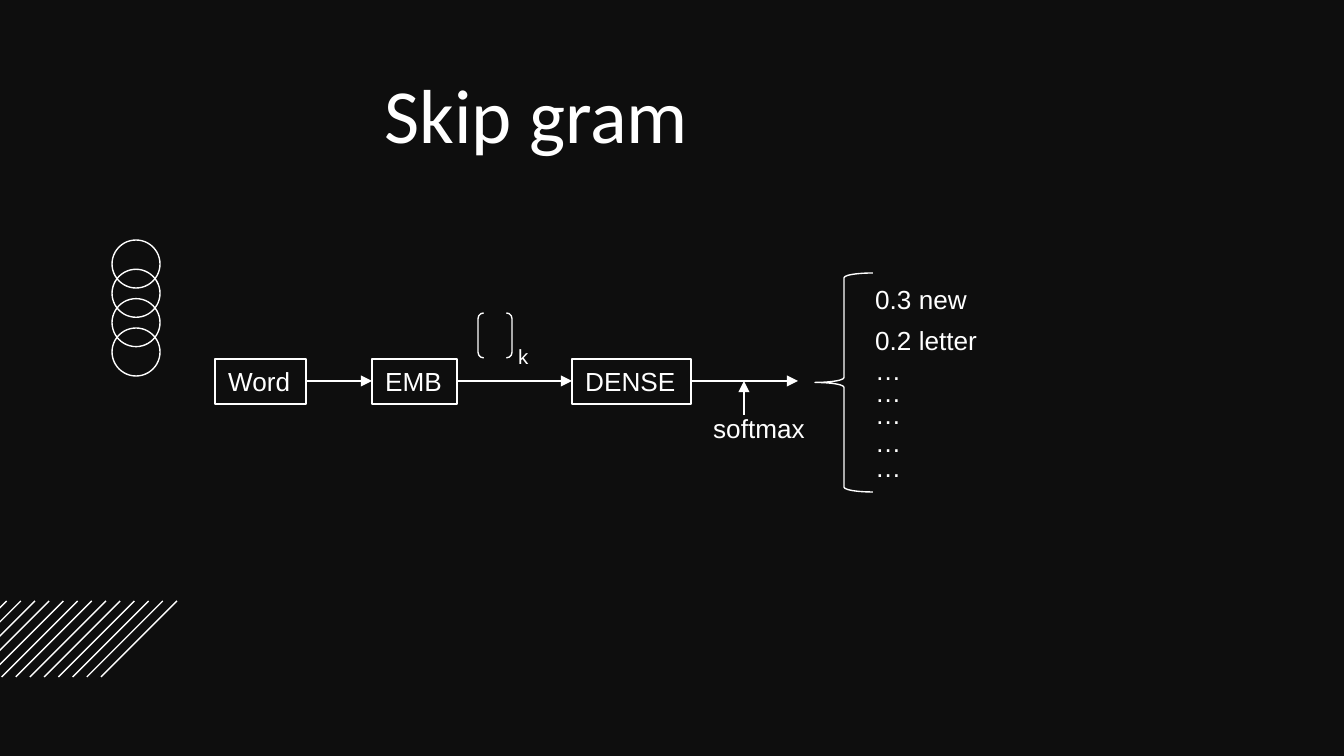
from lxml import etree
from pptx import Presentation
from pptx.dml.color import RGBColor
from pptx.enum.shapes import MSO_CONNECTOR, MSO_SHAPE
from pptx.enum.text import MSO_ANCHOR, MSO_AUTO_SIZE, PP_ALIGN
from pptx.oxml.ns import qn
from pptx.util import Emu, Pt

BACKGROUND = RGBColor(0x0E, 0x0E, 0x0E)
WHITE = RGBColor(0xFF, 0xFF, 0xFF)
RECT, OVAL = MSO_SHAPE.RECTANGLE, MSO_SHAPE.OVAL
BRACE, BRACKETS = MSO_SHAPE.LEFT_BRACE, MSO_SHAPE.DOUBLE_BRACKET
STRAIGHT = MSO_CONNECTOR.STRAIGHT
LEFT, CENTER = PP_ALIGN.LEFT, PP_ALIGN.CENTER
TOP, GROW = MSO_ANCHOR.TOP, MSO_AUTO_SIZE.SHAPE_TO_FIT_TEXT
NO_FIT = MSO_AUTO_SIZE.NONE


def px(n):
    return Emu(round(n * 914400 / 134.4))


class Diagram:
    line_width = Pt(0.75)

    def __init__(self, slide):
        self.shapes = slide.shapes
        slide.background.fill.solid()
        slide.background.fill.fore_color.rgb = BACKGROUND

    def stroke(self, sp):
        sp.line.color.rgb = WHITE
        sp.line.width = self.line_width

    def set_text(self, sp, text, size=14, font="Arial", align=LEFT, **frame):
        tf = sp.text_frame
        settings = {"word_wrap": False, "auto_size": GROW, "vertical_anchor": TOP}
        for name, value in (settings | frame).items():
            setattr(tf, name, value)
        p = tf.paragraphs[0]
        p.alignment = align
        r = p.add_run()
        r.text = text
        for name, value in {"size": Pt(size), "name": font}.items():
            setattr(r.font, name, value)
        r.font.color.rgb = WHITE

    def outline(self, kind, x, y, w, h):
        sp = self.shapes.add_shape(kind, px(x), px(y), px(w), px(h))
        sp.shadow.inherit = False
        sp.fill.background()
        self.stroke(sp)
        return sp

    def label(self, text, x, y, w, h=46, **style):
        sp = self.shapes.add_textbox(px(x), px(y), px(w), px(h))
        self.set_text(sp, text, **style)

    def line(self, x1, y1, x2, y2, arrow=False):
        sp = self.shapes.add_connector(STRAIGHT, px(x1), px(y1), px(x2), px(y2))
        self.stroke(sp)
        props = sp._element.spPr
        if arrow:
            etree.SubElement(props.find(qn("a:ln")), qn("a:tailEnd"), type="triangle")
        etree.SubElement(props, qn("a:effectLst"))


def main():
    prs = Presentation()
    prs.slide_width, prs.slide_height = px(1344), px(756)
    s = Diagram(prs.slides.add_slide(prs.slide_layouts[6]))

    # Decoration: hatching and a chain of circles
    for i in range(13):
        x = 177 - 14.2 * i
        s.line(x, 601, x - 76, 677)
    for i in range(4):
        s.outline(OVAL, 112, 240 + 88 * i / 3, 48, 48)

    # Title
    s.label("Skip gram", 77, 67, 919, 91, size=41, font="Calibri", align=CENTER,
            word_wrap=True, auto_size=NO_FIT, margin_top=0)

    # Network stages, each followed by an arrow to the next
    axis = 381
    stages = [("Word", 215, 91), ("EMB", 372, 85), ("DENSE", 572, 119)]
    arrow_ends = [x for _, x, _ in stages[1:]] + [798]
    for (name, x, w), end in zip(stages, arrow_ends):
        s.set_text(s.outline(RECT, x, 359, w, 45), name)
        s.line(x + w, axis, end, axis, arrow=True)

    # Embedding vector of size k
    s.outline(BRACKETS, 478, 313, 34, 45)
    s.label("k", 505, 337, 38, 39, size=11)

    # Softmax
    s.label("softmax", 700, 406, 120)
    s.line(744, 415, 744, axis, arrow=True)

    # Output probabilities
    s.outline(BRACE, 815, 273, 58, 219)
    for text, y in [("0.3 new", 277), ("0.2 letter", 318)]:
        s.label(text, 862, y, 220, word_wrap=True)
    for y in (348, 370, 392, 420, 445):
        s.label("…", 862, y, 54)

    prs.save("out.pptx")


if __name__ == "__main__":
    main()
